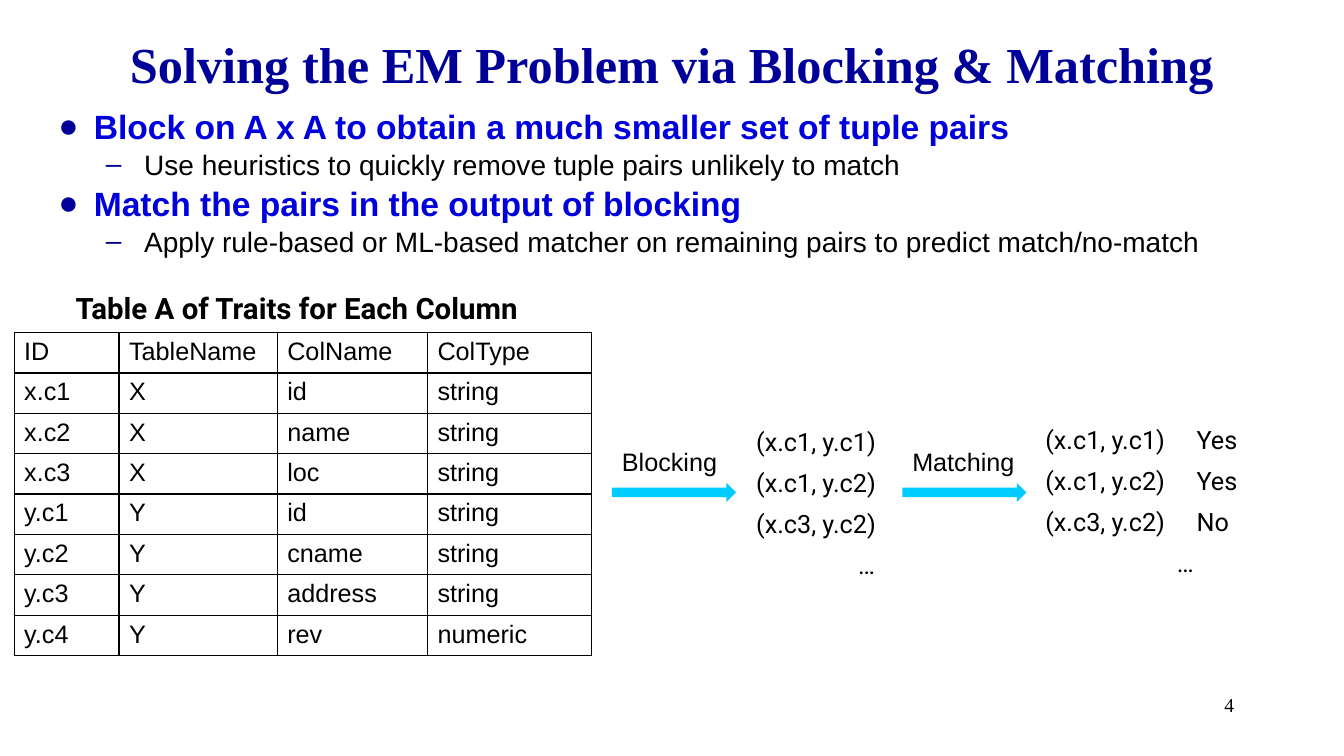
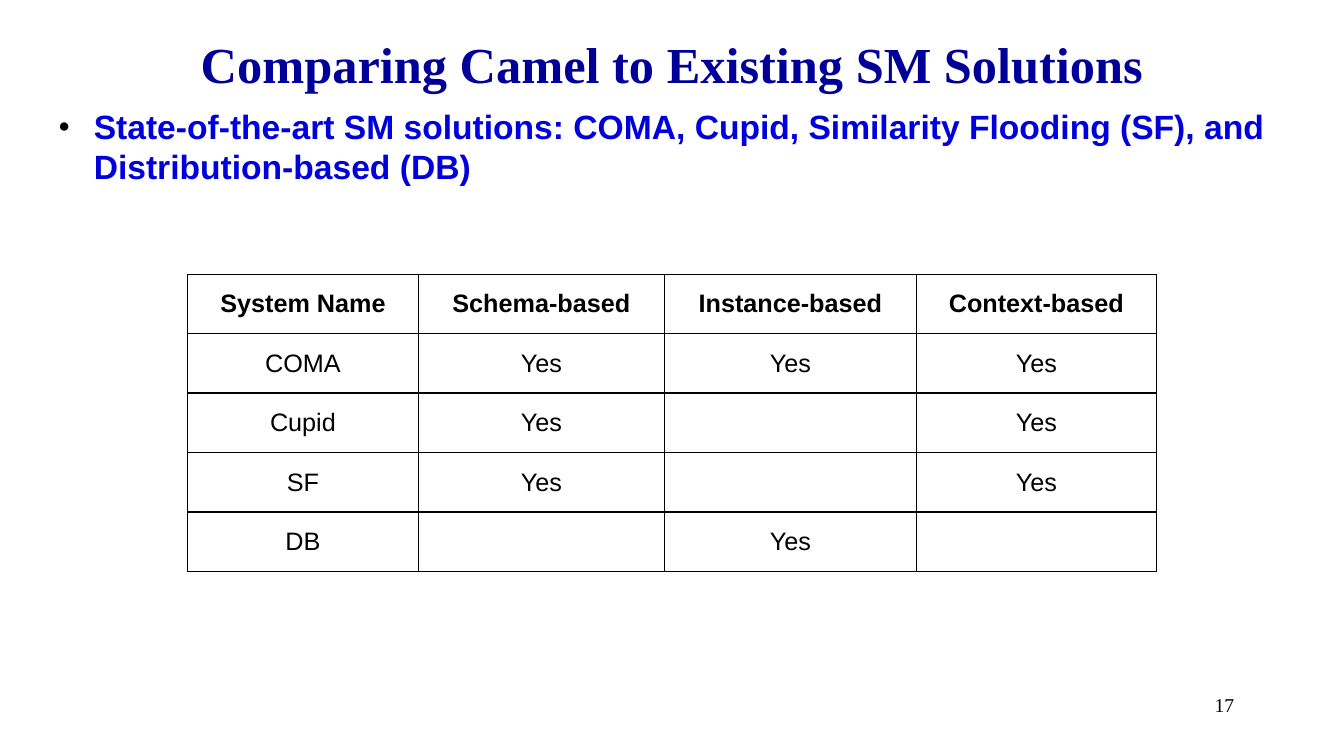
from pptx import Presentation
from pptx.dml.color import RGBColor
from pptx.enum.shapes import MSO_SHAPE as Shape
from pptx.enum.text import MSO_ANCHOR as Anchor, MSO_AUTO_SIZE as Auto, PP_ALIGN as Align
from pptx.oxml import parse_xml
from pptx.oxml.ns import nsdecls
from pptx.util import Inches, Pt

NAVY, BLUE, BLACK, CYAN = "000099", "0000DC", "000000", "00CCFF"
SERIF, SANS, ROBOTO = "Times New Roman", "Arial", "Roboto"
TITLE_BOX = (1, 0.25, 11.33, 0.75)
BODY_BOX = (0.33, 1, 12.67, 5.67)
PAGE_BOX = (9.56, 6.83, 2.78, 0.5)
LEVELS = [
    dict(mark="●", left=0.5, hang=0.35, size=24, bold=True, color=BLUE),
    dict(mark="–", left=1, hang=0.38, size=20, bold=False, color=BLACK),
]

BLOCKING = dict(
    title="Solving the EM Problem via Blocking & Matching",
    page="4",
    points=[
        (0, "Block on A x A to obtain a much smaller set of tuple pairs"),
        (1, "Use heuristics to quickly remove tuple pairs unlikely to match"),
        (0, "Match the pairs in the output of blocking"),
        (1, "Apply rule-based or ML-based matcher on remaining pairs to predict match/no-match"),
    ],
)
TRAITS = [
    ("ID", "TableName", "ColName", "ColType"),
    ("x.c1", "X", "id", "string"),
    ("x.c2", "X", "name", "string"),
    ("x.c3", "X", "loc", "string"),
    ("y.c1", "Y", "id", "string"),
    ("y.c2", "Y", "cname", "string"),
    ("y.c3", "Y", "address", "string"),
    ("y.c4", "Y", "rev", "numeric"),
]
CAPTION = "Table A of Traits for Each Column"
STEPS = ["Blocking", "Matching"]
PAIRS = [("(x.c1, y.c1)", "Yes"), ("(x.c1, y.c2)", "Yes"), ("(x.c3, y.c2)", "No")]

COMPARE = dict(
    title="Comparing Camel to Existing SM Solutions",
    page="17",
    points=[(0, "State-of-the-art SM solutions: COMA, Cupid, Similarity Flooding (SF), "
                "and Distribution-based (DB)")],
    color=BLACK,
    scale=58,
)
SYSTEMS = [
    ("System Name", "Schema-based", "Instance-based", "Context-based"),
    ("COMA", "Yes", "Yes", "Yes"),
    ("Cupid", "Yes", "", "Yes"),
    ("SF", "Yes", "", "Yes"),
    ("DB", "", "Yes", ""),
]


def rgb(code):
    return RGBColor.from_string(code)


def style(para, face, size, color=BLACK, bold=False, align=Align.LEFT):
    font = para.font
    font.name, font.size, font.bold = face, Pt(size), bold
    font.color.rgb = rgb(color)
    para.alignment = align


def place(shape, box):
    shape.left, shape.top, shape.width, shape.height = map(Inches, box)


def bullet(para, level, color, scale):
    props = para._p.get_or_add_pPr()
    props.set("marL", str(Inches(level["left"])))
    props.set("indent", str(-Inches(level["hang"])))
    for tag in (
        f'<a:buClr {nsdecls("a")}><a:srgbClr val="{color}"/></a:buClr>',
        f'<a:buSzPct {nsdecls("a")} val="{scale * 1000}"/>',
        f'<a:buFont {nsdecls("a")} typeface="{SANS}"/>',
        f'<a:buChar {nsdecls("a")} char="{level["mark"]}"/>',
    ):
        props.append(parse_xml(tag))


def write(slide, box, lines, face, size, bold=False, align=Align.LEFT,
          inset=True, lead=None, gap=0):
    frame = slide.shapes.add_textbox(*map(Inches, box)).text_frame
    frame.word_wrap = True
    if not inset:
        frame.margin_left = frame.margin_right = 0
        frame.margin_top = frame.margin_bottom = 0
    for i, line in enumerate(lines):
        para = frame.add_paragraph() if i else frame.paragraphs[0]
        para.text = line
        style(para, face, size, bold=bold, align=Align.CENTER if line == "…" else align)
        para.line_spacing = lead
        para.space_before = Pt(gap if i else 0)


def start(deck, title, page, points, color=NAVY, scale=100):
    slide = deck.slides.add_slide(deck.slide_layouts[1])
    head, body = slide.placeholders
    head.text_frame.text = title
    head.text_frame.auto_size = Auto.NONE
    style(head.text_frame.paragraphs[0], SERIF, 36, NAVY, True, Align.CENTER)
    frame = body.text_frame
    frame.auto_size = Auto.NONE
    for i, (depth, text) in enumerate(points):
        level = LEVELS[depth]
        para = frame.add_paragraph() if i else frame.paragraphs[0]
        para.text, para.level, para.space_before = text, depth, Pt(1)
        style(para, SANS, level["size"], level["color"], level["bold"])
        bullet(para, level, color, scale)
    write(slide, PAGE_BOX, [page], SERIF, 14, align=Align.RIGHT)
    return slide


def border(cell):
    props = cell._tc.get_or_add_tcPr()
    for i, side in enumerate("LRTB"):
        props.insert(i, parse_xml(
            f'<a:ln{side} {nsdecls("a")} w="{Pt(1)}"><a:solidFill>'
            f'<a:srgbClr val="{BLACK}"/></a:solidFill></a:ln{side}>'))


def grid(slide, left, top, widths, height, rows, center=False):
    box = (left, top, sum(widths), height * len(rows))
    table = slide.shapes.add_table(len(rows), len(widths), *map(Inches, box)).table
    table.first_row = table.horz_banding = False
    for col, width in zip(table.columns, widths):
        col.width = Inches(width)
    for r, row in enumerate(rows):
        table.rows[r].height = Inches(height)
        for c, text in enumerate(row):
            cell = table.cell(r, c)
            cell.text = text
            cell.fill.background()
            cell.vertical_anchor = Anchor.MIDDLE if center else Anchor.TOP
            style(cell.text_frame.paragraphs[0], SANS, 18, bold=center and r == 0,
                  align=Align.CENTER if center else Align.LEFT)
            border(cell)


def blocking(deck):
    slide = start(deck, **BLOCKING)
    pairs = [pair for pair, _ in PAIRS] + ["…"]
    write(slide, (7.5, 4.26, 2.19, 1.62), pairs, ROBOTO, 18, inset=False, lead=0.9, gap=10)
    for i, step in enumerate(STEPS):
        left = 6.07 + 2.88 * i
        arrow = slide.shapes.add_shape(
            Shape.RIGHT_ARROW, *map(Inches, (left, 4.79, 1.23, 0.19)))
        arrow.shadow.inherit = False
        arrow.fill.solid()
        arrow.fill.fore_color.rgb = rgb(CYAN)
        arrow.line.fill.background()
        write(slide, (left, 4.38, 1.23, 0.4), [step], SANS, 18)
    results = ["\t".join(pair) for pair in PAIRS] + ["…"]
    write(slide, (10.27, 4.19, 2.97, 1.34), results, ROBOTO, 18, lead=0.9, gap=10)
    grid(slide, 0.14, 3.3, (1.04, 1.57, 1.49, 1.63), 0.38, TRAITS)
    write(slide, (0.75, 2.92, 4.65, 0.35), [CAPTION], ROBOTO, 21, True, inset=False, lead=0.9)


def compare(deck):
    slide = start(deck, **COMPARE)
    grid(slide, 1.86, 2.72, (2.29, 2.44, 2.5, 2.38), 0.59, SYSTEMS, center=True)


def main():
    deck = Presentation()
    deck.slide_width, deck.slide_height = Inches(13.33), Inches(7.5)
    head, body = list(deck.slide_layouts[1].placeholders)[:2]
    place(head, TITLE_BOX)
    place(body, BODY_BOX)
    blocking(deck)
    compare(deck)
    deck.save("out.pptx")


if __name__ == "__main__":
    main()
